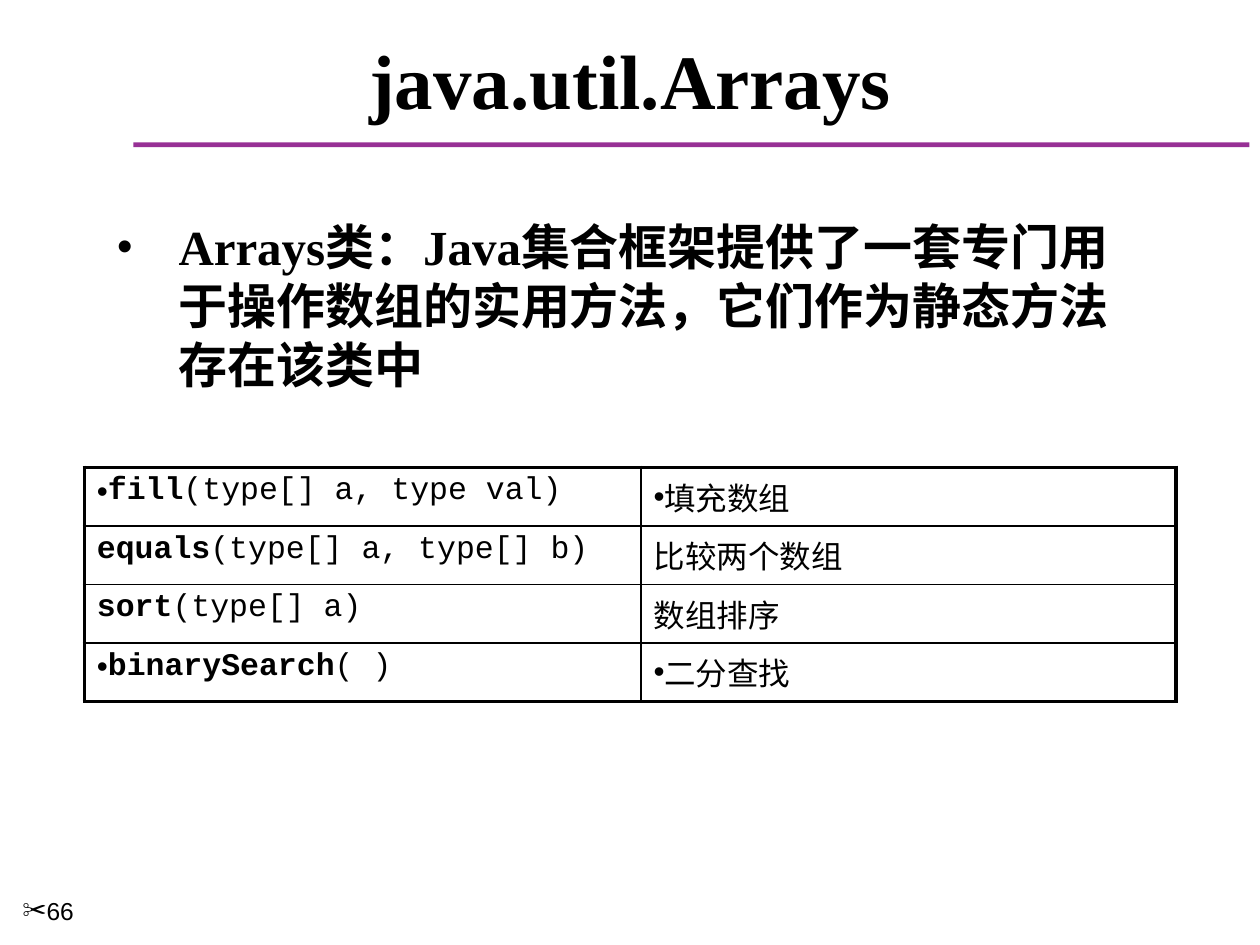
from lxml import etree
from pptx import Presentation
from pptx.dml.color import RGBColor
from pptx.enum.shapes import MSO_SHAPE
from pptx.enum.text import MSO_ANCHOR, PP_ALIGN
from pptx.oxml.ns import qn
from pptx.util import Cm, Pt

RECTANGLE = MSO_SHAPE.RECTANGLE
MIDDLE, CENTER = MSO_ANCHOR.MIDDLE, PP_ALIGN.CENTER

COLORS = {"text": "000000", "rule": "973095", "border": "000000"}
SERIF, SANS, MONO, CJK = "Times New Roman", "Arial", "Courier New", "Noto Sans CJK SC"

TITLE = "java.util.Arrays"
PAGE_NUMBER = "66"
INTRO = [
    ("Arrays", SERIF),
    ("类：", CJK),
    ("Java", SERIF),
    ("集合框架提供了一套专门用于操作数组的实用方法，它们作为静态方法存在该类中", CJK),
]
# method name, arguments, description, bulleted
METHODS = [
    ("fill", "(type[] a, type val)", "填充数组", True),
    ("equals", "(type[] a, type[] b)", "比较两个数组", False),
    ("sort", "(type[] a)", "数组排序", False),
    ("binarySearch", "( )", "二分查找", True),
]
COLUMN_WIDTHS = (Cm(11.22), Cm(10.79))
ROW_HEIGHT = Cm(1.18)
THIN, THICK = Pt(1), Pt(2.25)


def add_run(paragraph, text, font, size, bold=False):
    run = paragraph.add_run()
    run.text = text
    run.font.name = font
    run.font.size = Pt(size)
    run.font.bold = bold
    run.font.color.rgb = RGBColor.from_string(COLORS["text"])
    if not text.isascii():
        etree.SubElement(run.font._element, qn("a:ea"), typeface=CJK)


def add_bullet(paragraph, char="•", indent=0, percent=100):
    properties = paragraph._p.get_or_add_pPr()
    properties.set("marL", str(indent))
    properties.set("indent", str(-indent))
    etree.SubElement(properties, qn("a:buSzPct"), val=str(percent * 1000))
    etree.SubElement(properties, qn("a:buFont"), typeface=SANS)
    etree.SubElement(properties, qn("a:buChar"), char=char)


def add_text_box(slide, left, top, width, height):
    frame = slide.shapes.add_textbox(Cm(left), Cm(top), Cm(width), Cm(height)).text_frame
    frame.word_wrap = True
    return frame


def set_borders(cell, **widths):
    """Draw the cell's sides; schema order is L, R, T, B."""
    properties = cell._tc.get_or_add_tcPr()
    for position, (side, width) in enumerate(widths.items()):
        line = etree.Element(qn(f"a:ln{side}"), w=str(width))
        fill = etree.SubElement(line, qn("a:solidFill"))
        etree.SubElement(fill, qn("a:srgbClr"), val=COLORS["border"])
        properties.insert(position, line)


def add_methods_table(slide):
    last_row = len(METHODS) - 1
    table = slide.shapes.add_table(
        len(METHODS), 2, Cm(1.7), Cm(9.42), sum(COLUMN_WIDTHS), ROW_HEIGHT * len(METHODS)
    ).table
    table.first_row = table.horz_banding = False
    for column, width in zip(table.columns, COLUMN_WIDTHS):
        column.width = width
    for r, (name, arguments, description, bulleted) in enumerate(METHODS):
        contents = (
            [(name, MONO, 18, True), (arguments, MONO, 18)],
            [(description, SANS, 18)],
        )
        for c, runs in enumerate(contents):
            cell = table.cell(r, c)
            cell.fill.background()
            paragraph = cell.text_frame.paragraphs[0]
            if bulleted:
                add_bullet(paragraph)
            for run in runs:
                add_run(paragraph, *run)
            set_borders(
                cell,
                L=THICK if c == 0 else THIN,
                R=THICK if c == 1 else THIN,
                T=THICK if r == 0 else THIN,
                B=THICK if r == last_row else THIN,
            )


def main():
    presentation = Presentation()
    presentation.slide_width, presentation.slide_height = Cm(25.4), Cm(19.05)
    slide = presentation.slides.add_slide(presentation.slide_layouts[6])

    rule = slide.shapes.add_shape(RECTANGLE, Cm(2.69), Cm(2.87), Cm(22.5), Cm(0.1))
    rule.shadow.inherit = False
    rule.fill.solid()
    rule.fill.fore_color.rgb = RGBColor.from_string(COLORS["rule"])
    rule.line.fill.background()

    title = add_text_box(slide, 0.43, 0.64, 24.56, 1.9)
    title.vertical_anchor = MIDDLE
    title.paragraphs[0].alignment = CENTER
    add_run(title.paragraphs[0], TITLE, SERIF, 44, True)

    page = add_text_box(slide, 0.2, 17.93, 2.74, 1.12)
    add_bullet(page.paragraphs[0], "✂")
    add_run(page.paragraphs[0], PAGE_NUMBER, SANS, 14)

    intro = add_text_box(slide, 2.11, 4.24, 21.39, 13.77)
    add_bullet(intro.paragraphs[0], indent=Cm(1.24), percent=90)
    for text, font in INTRO:
        add_run(intro.paragraphs[0], text, font, 28, True)

    add_methods_table(slide)
    presentation.save("out.pptx")


if __name__ == "__main__":
    main()
